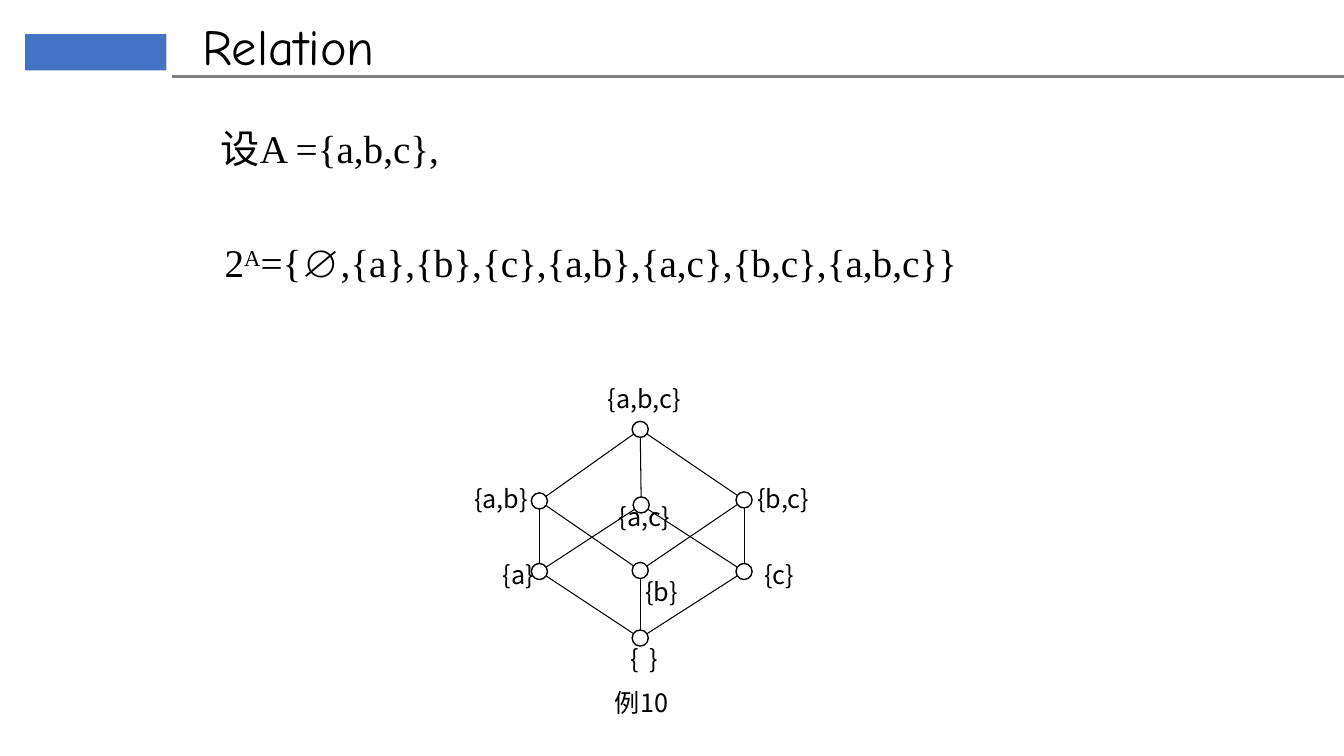
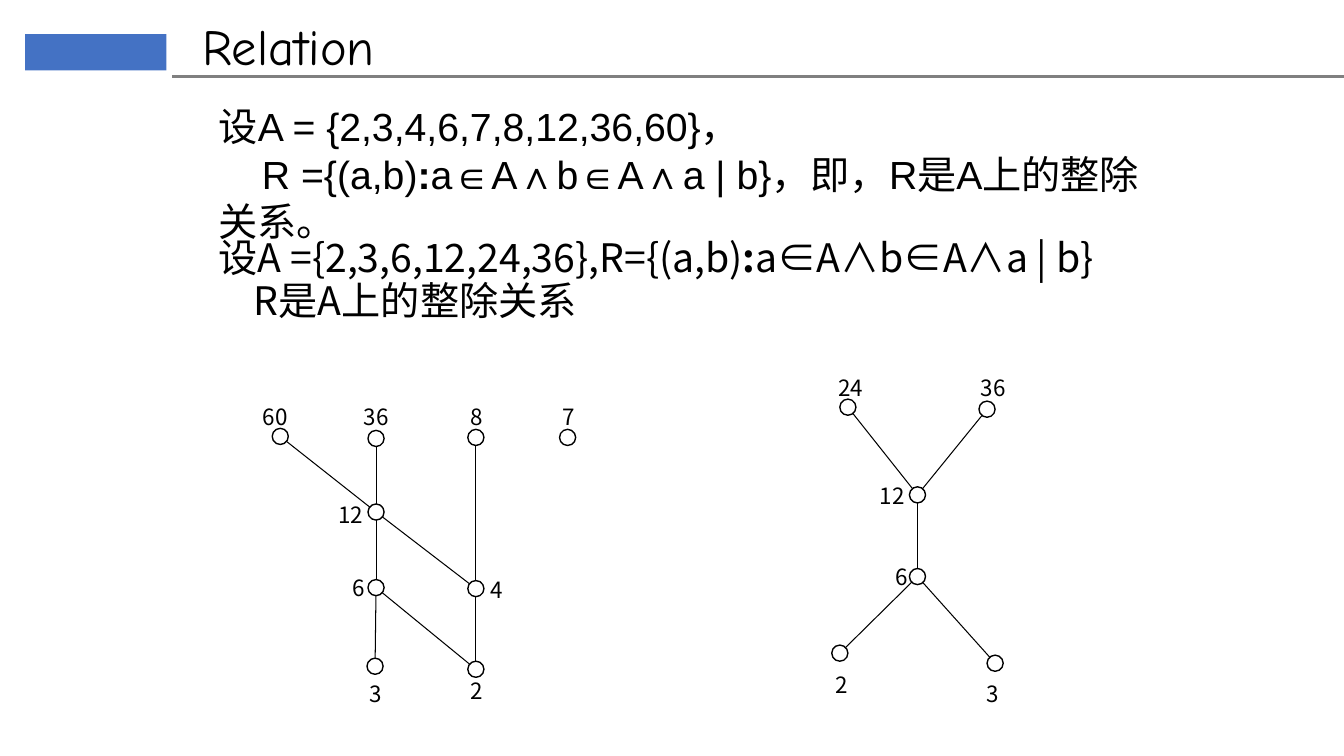
import math

import pptx
import pptx.dml.color
import pptx.enum.shapes
import pptx.enum.text
import pptx.oxml.ns
import pptx.util
from lxml import etree

Inches = pptx.util.Inches
Pt = pptx.util.Pt
RGBColor = pptx.dml.color.RGBColor
Align = pptx.enum.text.PP_ALIGN
Shape = pptx.enum.shapes.MSO_SHAPE
qn = pptx.oxml.ns.qn

BLACK = RGBColor(0x00, 0x00, 0x00)
BLUE = RGBColor(0x44, 0x72, 0xC4)
GRAY = RGBColor(0x80, 0x80, 0x80)
SANS = "Noto Sans CJK SC"
RADIUS = 0.08


def apply(item, values):
    """Set each attribute named in a dict."""
    for name, value in values.items():
        setattr(item, name, value)


class Deck:
    """Holds the shared style and the current slide."""

    def __init__(self):
        """Start an empty wide deck."""
        self.prs = pptx.Presentation()
        apply(self.prs, {"slide_width": Inches(13.33), "slide_height": Inches(7.5)})
        self.slide = None

    def page(self, title):
        """Add a slide with the corner block, rule and title."""
        self.slide = self.prs.slides.add_slide(self.prs.slide_layouts[6])
        shapes = self.slide.shapes
        self.block(shapes, (0.25, 0.34, 1.4, 0.36), BLUE)
        self.line(shapes, (1.71, 0.76), (13.33, 0.76), GRAY, 2)
        self.text(shapes, (1.91, 0.1, 6.3, 0.71), [[(title, {})]],
                  {"name": "Comic Neue", "size": Pt(36)})

    def block(self, shapes, area, color):
        """Add a plain filled rectangle."""
        block = shapes.add_shape(Shape.RECTANGLE, *map(Inches, area))
        block.shadow.inherit = False
        block.fill.solid()
        block.fill.fore_color.rgb = color
        block.line.fill.background()

    def text(self, shapes, area, paras, font, inset=(0.1, 0.05),
             wrap=True, indents=(), para=None):
        """Add a text box; each paragraph is a list of (words, run XML values)."""
        box = shapes.add_textbox(*map(Inches, area))
        frame = box.text_frame
        side, edge = map(Inches, inset)
        apply(frame, {"word_wrap": wrap, "margin_left": side, "margin_right": side,
                      "margin_top": edge, "margin_bottom": edge,
                      "auto_size": pptx.enum.text.MSO_AUTO_SIZE.SHAPE_TO_FIT_TEXT})
        for i, runs in enumerate(paras):
            item = frame.paragraphs[0] if i == 0 else frame.add_paragraph()
            apply(item, para or {})
            if i < len(indents):
                item._p.get_or_add_pPr().set("indent", str(Inches(indents[i])))
            for words, extra in runs:
                run = item.add_run()
                run.text = words
                apply(run.font, font)
                run.font.color.rgb = BLACK
                props = run._r.get_or_add_rPr()
                etree.SubElement(props, qn("a:ea")).set("typeface", SANS)
                for name, value in extra.items():
                    props.set(name, value)

    def line(self, shapes, start, end, color=BLACK, width=0.75):
        """Add a straight line without shadow."""
        kind = pptx.enum.shapes.MSO_CONNECTOR.STRAIGHT
        link = shapes.add_connector(kind, *map(Inches, (*start, *end)))
        link.line.color.rgb = color
        link.line.width = Pt(width)
        etree.SubElement(link._element.spPr, qn("a:effectLst"))

    def ring(self, shapes, x, y):
        """Add a hollow node centred on a point."""
        node = shapes.add_shape(Shape.OVAL, Inches(x - RADIUS), Inches(y - RADIUS),
                                Inches(2 * RADIUS), Inches(2 * RADIUS))
        node.shadow.inherit = False
        node.fill.background()
        node.line.color.rgb = BLACK
        node.line.width = Pt(1)

    def edge(self, shapes, start, end):
        """Join two nodes from rim to rim."""
        dx, dy = end[0] - start[0], end[1] - start[1]
        part = RADIUS / math.hypot(dx, dy)
        self.line(shapes, (start[0] + dx * part, start[1] + dy * part),
                  (end[0] - dx * part, end[1] - dy * part))

    def hasse(self, nodes, edges, size):
        """Draw a Hasse diagram; a node is x, y, label centre, label top."""
        shapes = self.slide.shapes.add_group_shape().shapes
        for low, high in edges:
            self.edge(shapes, nodes[low][:2], nodes[high][:2])
        for label, (x, y, mid, top) in nodes.items():
            width = max(0.58, 0.25 + 0.13 * len(label))
            self.text(shapes, (mid - width / 2, top, width, size / 60 + 0.1),
                      [[(label, {})]], {"name": SANS, "size": Pt(size)},
                      para={"alignment": Align.CENTER})
            self.ring(shapes, x, y)
        return shapes


deck = Deck()

# Power set
deck.page("Relation")
serif = {"name": "Times New Roman", "size": Pt(28)}
deck.text(deck.slide.shapes, (2.09, 1.18, 2.49, 0.57), [[("设A ={a,b,c},", {})]],
          serif, wrap=False)
deck.text(deck.slide.shapes, (2.13, 2.32, 7.51, 0.57),
          [[("2", {}), ("A", {"baseline": "30000"}),
            ("={∅,{a},{b},{c},{a,b},{a,c},{b,c},{a,b,c}}", {})]],
          serif, wrap=False)
subsets = {
    "{a,b,c}": (6.35, 4.26, 6.39, 3.75),
    "{a,b}": (5.35, 4.97, 4.97, 4.75),
    "{a,c}": (6.36, 5.01, 6.39, 4.92),
    "{b,c}": (7.38, 4.96, 7.77, 4.75),
    "{a}": (5.35, 5.67, 5.14, 5.5),
    "{b}": (6.35, 5.66, 6.56, 5.67),
    "{c}": (7.38, 5.67, 7.73, 5.5),
    "{  }": (6.35, 6.33, 6.39, 6.33),
}
members = {label: set(label) - set("{}, ") for label in subsets}
covers = [(low, high) for low in subsets for high in subsets
          if members[low] < members[high]
          and len(members[high]) - len(members[low]) == 1]
cube = deck.hasse(subsets, covers, 18)
deck.text(cube, (6.1, 6.82, 0.67, 0.3), [[("例10", {})]],
          {"name": SANS, "size": Pt(18)}, inset=(0, 0))

# Divisibility
deck.page("Relation")
bold = {"b": "1"}
deck.text(deck.slide.shapes, (2.07, 0.97, 9.65, 1.51),
          [[("设A = {2,3,4,6,7,8,12,36,60}，", {})],
           [("R ={(a,b)", {}), (":", bold),
            ("a∈A∧b∈A∧a | b}，即，R是A上的整除关系。", {})]],
          {"name": "Arial", "size": Pt(28)}, indents=(0, 0.43))
deck.text(deck.slide.shapes, (2.07, 2.32, 9.41, 0.95),
          [[("设A ={2,3,6,12,24,36},R={(a,b)", {}), (":", bold),
            ("a∈A∧b∈A∧a | b}", {})],
           [("R是A上的整除关系", {})]],
          {"name": SANS, "size": Pt(28)}, indents=(0, 0.35),
          para={"line_spacing": 0.9})
deck.hasse({
    "60": (2.78, 4.33, 2.73, 3.95),
    "36": (3.73, 4.35, 3.73, 3.95),
    "8": (4.72, 4.34, 4.73, 3.95),
    "7": (5.63, 4.34, 5.64, 3.95),
    "12": (3.73, 5.08, 3.48, 4.92),
    "6": (3.73, 5.83, 3.56, 5.65),
    "4": (4.72, 5.84, 4.93, 5.67),
    "3": (3.72, 6.61, 3.73, 6.7),
    "2": (4.72, 6.64, 4.73, 6.67),
}, [("60", "12"), ("36", "12"), ("12", "6"), ("6", "3"), ("8", "4"),
    ("4", "2"), ("6", "2"), ("12", "4")], 16)
deck.hasse({
    "24": (8.41, 4.04, 8.44, 3.66),
    "36": (9.79, 4.06, 9.85, 3.66),
    "12": (9.1, 4.91, 8.85, 4.73),
    "6": (9.1, 5.72, 8.94, 5.54),
    "2": (8.33, 6.48, 8.35, 6.61),
    "3": (9.87, 6.58, 9.85, 6.7),
}, [("24", "12"), ("36", "12"), ("12", "6"), ("6", "2"), ("6", "3")], 16)

deck.prs.save("out.pptx")
